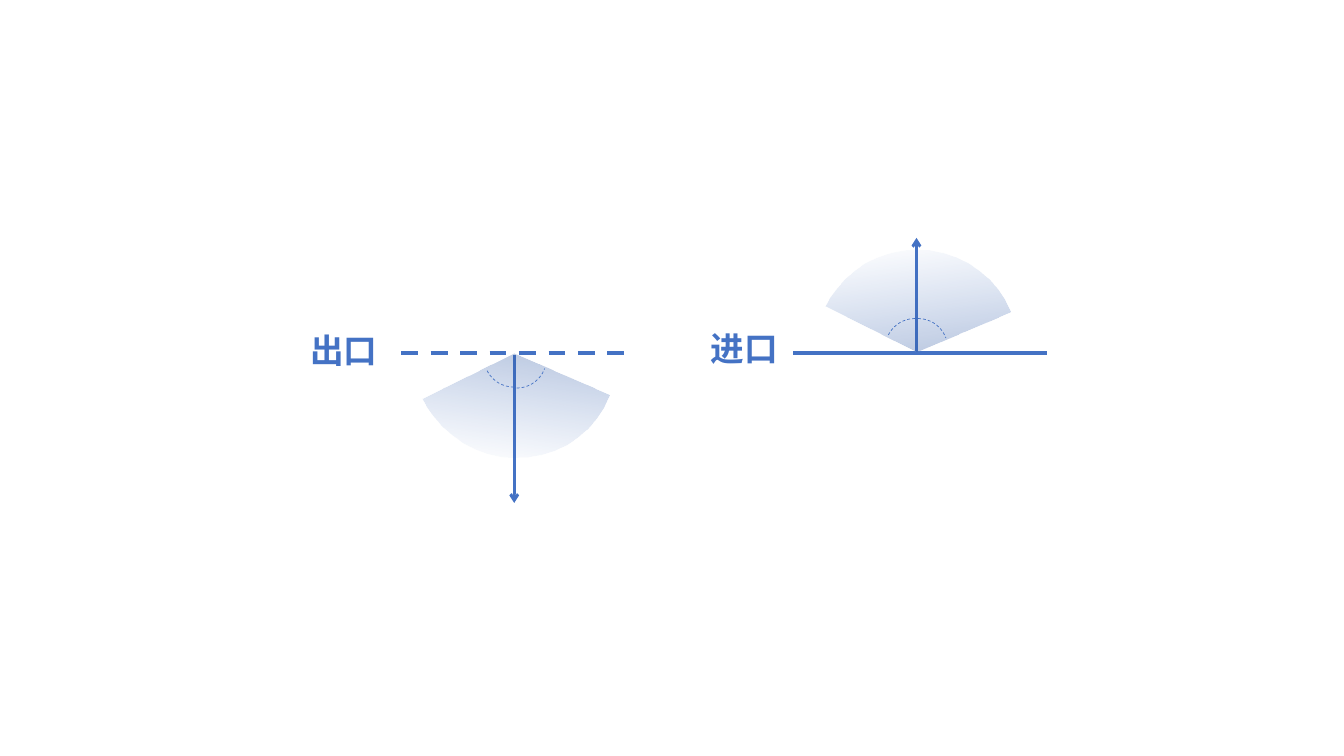
"""Build a slide that contrasts an exit and an entrance by fans of direction."""
import pptx
import pptx.util
import pptx.dml.color
import pptx.enum.dml
import pptx.enum.shapes
import pptx.enum.text
import pptx.oxml
import pptx.oxml.ns

Inches = pptx.util.Inches
Pt = pptx.util.Pt
RGBColor = pptx.dml.color.RGBColor
Shape = pptx.enum.shapes.MSO_SHAPE
COLORS = {"blue": "4472C4", "fan_dark": "23427A", "fan_light": "3A6FCE"}
FONT = "Noto Sans CJK SC"


def add_xml(parent, tag, **attributes):
    element = pptx.oxml.parse_xml(f"<{tag} {pptx.oxml.ns.nsdecls('a')}/>")
    for name, value in attributes.items():
        element.set(name, value)
    parent.append(element)


def style_line(shape, width, dashed):
    shape.line.color.rgb = RGBColor.from_string(COLORS["blue"])
    shape.line.width = Pt(width)
    if dashed:
        shape.line.dash_style = pptx.enum.dml.MSO_LINE.DASH


presentation = pptx.Presentation()
presentation.slide_width = Inches(13.33)
presentation.slide_height = Inches(7.5)
slide = presentation.slides.add_slide(presentation.slide_layouts[6])

lines = [
    (7.87, 3.5, 10.38, 3.5, 3, False, False),
    (9.09, 2.36, 9.09, 3.51, 2, False, True),
    (3.98, 3.5, 6.23, 3.5, 3, True, False),
    (5.1, 4.99, 5.1, 3.52, 2, False, True),
]
for x1, y1, x2, y2, width, dashed, has_arrow in lines:
    connector = slide.shapes.add_connector(
        pptx.enum.shapes.MSO_CONNECTOR.STRAIGHT,
        Inches(x1), Inches(y1), Inches(x2), Inches(y2))
    style_line(connector, width, dashed)
    if has_arrow:
        add_xml(connector.line._get_or_add_ln(), "a:headEnd", type="arrow")
    add_xml(connector._element.spPr, "a:effectLst")

for label, left, top in [("进口", 6.67, 3.2), ("出口", 2.7, 3.22)]:
    text_box = slide.shapes.add_textbox(
        Inches(left), Inches(top), Inches(1.42), Inches(0.5))
    text_frame = text_box.text_frame
    text_frame.word_wrap = True
    text_frame.auto_size = pptx.enum.text.MSO_AUTO_SIZE.SHAPE_TO_FIT_TEXT
    paragraph = text_frame.paragraphs[0]
    paragraph.alignment = pptx.enum.text.PP_ALIGN.CENTER
    run = paragraph.add_run()
    run.text = label
    run.font.size = Pt(24)
    run.font.bold = True
    run.font.color.rgb = RGBColor.from_string(COLORS["blue"])
    run.font.name = FONT
    add_xml(run.font._element, "a:ea", typeface=FONT)

fans = [
    (8.08, 2.47, 2.02, 2.03, 217.4, {}),
    (4.09, 2.47, 2.02, 2.08, 142.9, {"flipV": "1"}),
]
for left, top, width, height, rotation, flips in fans:
    fan = slide.shapes.add_shape(
        Shape.PIE, Inches(left), Inches(top), Inches(width), Inches(height))
    fan.adjustments[0] = 209.44
    fan.adjustments[1] = 71.76
    fan.rotation = rotation
    for name, value in flips.items():
        fan._element.spPr.xfrm.set(name, value)
    fan.shadow.inherit = False
    fan.line.fill.background()
    fan.fill.gradient()
    fan.fill.gradient_angle = 315
    stops = zip(fan.fill.gradient_stops, ["fan_dark", "fan_light"], [34, 0])
    for position, (stop, color, opacity) in enumerate(stops):
        stop.position = position
        stop.color.rgb = RGBColor.from_string(COLORS[color])
        add_xml(stop._element[0], "a:alpha", val=str(opacity * 1000))

arcs = [
    (8.81, 3.16, 203.92, {}),
    (8.78, 3.16, 201.92, {"flipH": "1"}),
    (4.83, 3.26, 203.92, {"flipV": "1"}),
    (4.8, 3.25, 201.92, {"flipH": "1", "flipV": "1"}),
]
for left, top, end_angle, flips in arcs:
    arc = slide.shapes.add_shape(
        Shape.ARC, Inches(left), Inches(top), Inches(0.59), Inches(0.59))
    arc.adjustments[0] = 162
    arc.adjustments[1] = end_angle
    for name, value in flips.items():
        arc._element.spPr.xfrm.set(name, value)
    arc.shadow.inherit = False
    arc.fill.background()
    style_line(arc, 0.5, True)

presentation.save("out.pptx")
